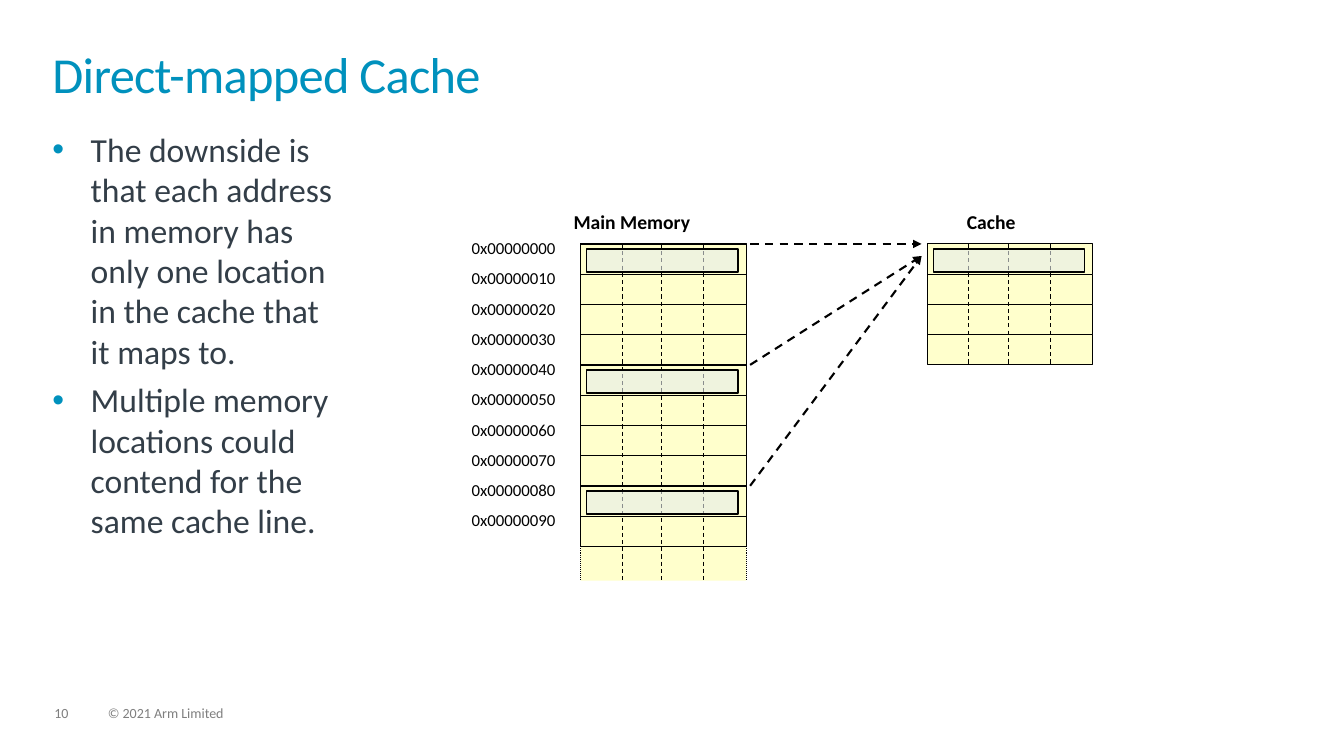
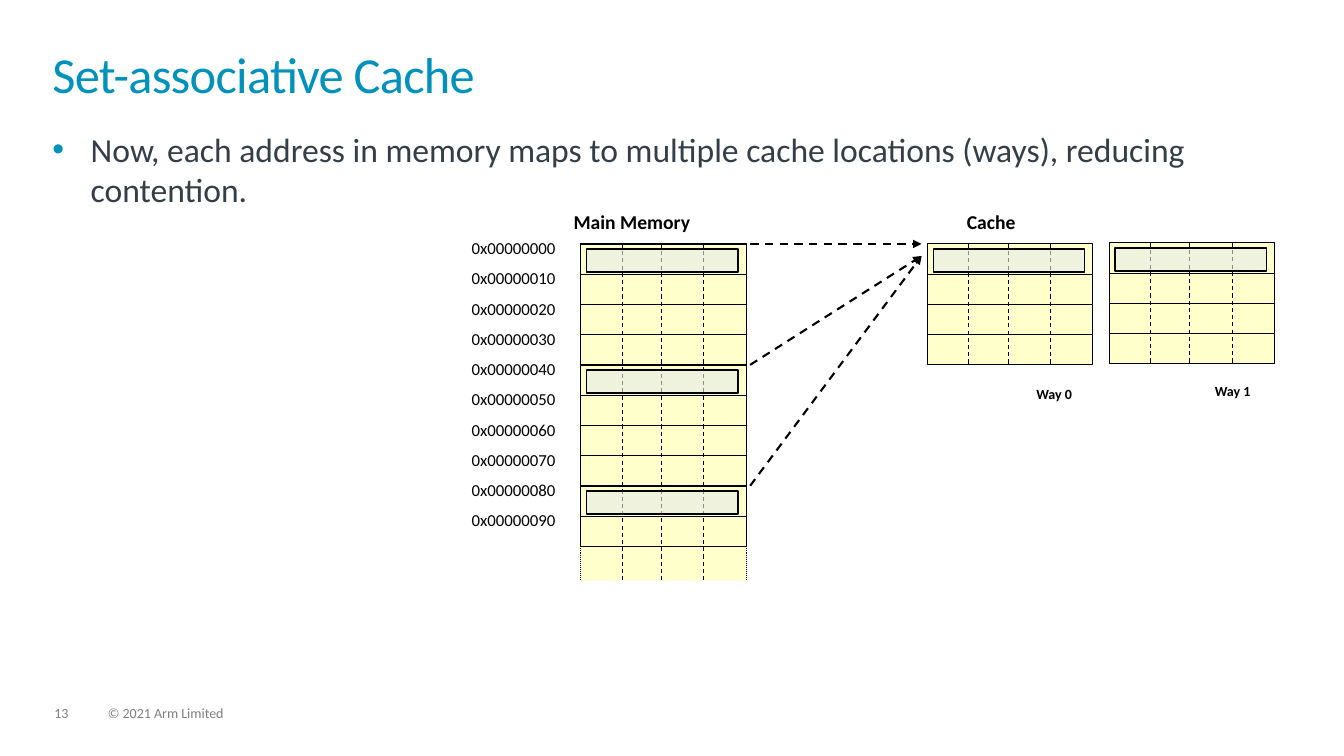
from pptx import Presentation
from pptx.dml.color import RGBColor
from pptx.enum.dml import MSO_LINE_DASH_STYLE as DASH
from pptx.enum.shapes import MSO_CONNECTOR, MSO_SHAPE
from pptx.enum.text import MSO_ANCHOR, MSO_AUTO_SIZE, PP_ALIGN
from pptx.oxml.ns import qn
from pptx.util import Inches, Pt
from lxml.etree import SubElement

# Shared style
BLUE = RGBColor(0x00, 0x91, 0xBD)
SLATE = RGBColor(0x33, 0x3E, 0x48)
GREY = RGBColor(0x7F, 0x7F, 0x7F)
BLACK = RGBColor(0x00, 0x00, 0x00)
CREAM = RGBColor(0xFF, 0xFF, 0xCC)
MIST = RGBColor(0xE5, 0xEC, 0xEB)
FONT = "Calibri"
COPYRIGHT = "© 2021 Arm Limited"

# Diagram measures, in inches
BLOCK_W, ROW_H = 1.64, 0.3
WORD_EDGES = (0.41, 0.8, 1.22)
MEMORY_ROWS, MEMORY_H = 10, 3.34
CACHE_ROWS = 4
MEMORY_AT = (5.76, 2.42)
CACHE_AT = (9.2, 2.42)
WAY_1_AT = (11.0, 2.41)
MAPPED_ROWS = range(0, MEMORY_ROWS, CACHE_ROWS)


def add_run(paragraph, text, size, color, bold=False):
    run = paragraph.add_run()
    run.text = text
    run.font.name = FONT
    run.font.size = Pt(size)
    run.font.color.rgb = color
    run.font.bold = bold
    return run


def place(shape, left, top, width, height):
    shape.left, shape.top = Inches(left), Inches(top)
    shape.width, shape.height = Inches(width), Inches(height)


def clear_frame(frame):
    frame.margin_left = frame.margin_right = 0
    frame.margin_top = frame.margin_bottom = 0
    frame.vertical_anchor = MSO_ANCHOR.TOP
    frame.auto_size = MSO_AUTO_SIZE.NONE
    frame.word_wrap = True


def add_label(slide, text, left, top, width, height, size, bold=False, wrap=True):
    frame = slide.shapes.add_textbox(
        Inches(left), Inches(top), Inches(width), Inches(height)).text_frame
    frame.word_wrap = wrap
    frame.vertical_anchor = MSO_ANCHOR.MIDDLE
    add_run(frame.paragraphs[0], text, size, BLACK, bold)


def add_rect(slide, left, top, width, height, fill, line_width=None, opacity=None):
    rect = slide.shapes.add_shape(
        MSO_SHAPE.RECTANGLE, Inches(left), Inches(top), Inches(width), Inches(height))
    rect.shadow.inherit = False
    rect.fill.solid()
    rect.fill.fore_color.rgb = fill
    if opacity:
        tint = rect._element.spPr.find(qn("a:solidFill")).find(qn("a:srgbClr"))
        SubElement(tint, qn("a:alpha")).set("val", str(opacity * 1000))
    if line_width:
        rect.line.color.rgb = BLACK
        rect.line.width = Pt(line_width)
    else:
        rect.line.fill.background()


def add_line(slide, x1, y1, x2, y2, width=0.75, dash=None, arrow=False):
    line = slide.shapes.add_connector(
        MSO_CONNECTOR.STRAIGHT, Inches(x1), Inches(y1), Inches(x2), Inches(y2))
    line.line.color.rgb = BLACK
    line.line.width = Pt(width)
    if dash:
        line.line.dash_style = dash
    if arrow:
        SubElement(line.line._get_or_add_ln(), qn("a:tailEnd")).set("type", "triangle")
    SubElement(line._element.spPr, qn("a:effectLst"))


# Title, bullets and footer
def add_title(slide, text):
    title = slide.shapes.title
    place(title, 0.52, 0.52, 12.28, 0.72)
    clear_frame(title.text_frame)
    paragraph = title.text_frame.paragraphs[0]
    paragraph.alignment = PP_ALIGN.LEFT
    paragraph.line_spacing = 0.85
    run = add_run(paragraph, text, 36, BLUE)
    run._r.get_or_add_rPr().set("spc", "-50")


def add_bullets(slide, items, width):
    body = slide.placeholders[1]
    place(body, 0.52, 1.28, width, 5.41)
    frame = body.text_frame
    clear_frame(frame)
    for index, item in enumerate(items):
        paragraph = frame.add_paragraph() if index else frame.paragraphs[0]
        props = paragraph._p.get_or_add_pPr()
        props.set("marL", str(Inches(0.38)))
        props.set("indent", str(-Inches(0.38)))
        color = SubElement(props, qn("a:buClr"))
        SubElement(color, qn("a:srgbClr")).set("val", str(BLUE))
        SubElement(props, qn("a:buFont")).set("typeface", "Arial")
        SubElement(props, qn("a:buChar")).set("char", "•")
        paragraph.space_before = Pt(6 if index else 0)
        add_run(paragraph, item, 24, SLATE)


def add_footer(slide, number):
    for text, left, width in ((str(number), 0.54, 0.34), (COPYRIGHT, 1.07, 5.07)):
        frame = slide.shapes.add_textbox(
            Inches(left), Inches(7.01), Inches(width), Inches(0.15)).text_frame
        clear_frame(frame)
        frame.paragraphs[0].line_spacing = 0.9
        add_run(frame.paragraphs[0], text, 10, GREY)


# Memory blocks
def add_rows(slide, left, top, count, height):
    """Stack of cache lines, each split into four words."""
    for row in range(count):
        add_rect(slide, left, top + row * ROW_H, BLOCK_W, ROW_H, CREAM, 0.75)
    for edge in WORD_EDGES:
        add_line(slide, left + edge, top, left + edge, top + height, dash=DASH.DASH)


def add_highlight(slide, left, top):
    add_rect(slide, left + 0.06, top + 0.05, 1.5, 0.23, MIST, 1, opacity=60)


def add_cache(slide, left, top):
    add_rows(slide, left, top, CACHE_ROWS, CACHE_ROWS * ROW_H)
    add_highlight(slide, left, top)


def add_memory(slide, left, top):
    right, bottom = left + BLOCK_W, top + MEMORY_H
    add_label(slide, "Main Memory", left - 0.17, top - 0.39, 1.36, 0.34, 14, True, False)
    add_rect(slide, left, top, BLOCK_W, MEMORY_H, CREAM)
    add_rows(slide, left, top, MEMORY_ROWS, MEMORY_H)
    for side in (left, right):
        add_line(slide, side, top + MEMORY_ROWS * ROW_H, side, bottom,
                 dash=DASH.ROUND_DOT)
    for row in MAPPED_ROWS:
        y = top + row * ROW_H
        add_line(slide, left, y, right, y, 1.5)
        add_highlight(slide, left, y)
    for row in range(MEMORY_ROWS):
        add_label(slide, f"0x{row * 16:08X}", left - 1.18, top - 0.11 + row * ROW_H,
                  1.5, 0.3, 12)


def add_mapping_arrows(slide, memory, cache):
    start = memory[0] + BLOCK_W + 0.04
    for row in MAPPED_ROWS:
        y = memory[1] + row * ROW_H
        target = cache[1] + (0.12 if row else 0)
        add_line(slide, start, y, cache[0] - 0.06, target, 1.5, DASH.DASH, arrow=True)


def add_mapping(slide):
    left, top = CACHE_AT
    add_memory(slide, *MEMORY_AT)
    add_label(slide, "Cache", left + 0.29, top - 0.39, 0.69, 0.34, 14, True, False)
    add_cache(slide, left, top)
    add_mapping_arrows(slide, MEMORY_AT, CACHE_AT)


def add_ways(slide):
    add_cache(slide, *WAY_1_AT)
    for text, left, top in (("Way 0", 10.18, 3.77), ("Way 1", 11.95, 3.74)):
        add_label(slide, text, left, top, 0.71, 0.27, 10, True)


def add_cache_slide(deck, title, bullets, body_width, number):
    slide = deck.slides.add_slide(deck.slide_layouts[1])
    add_title(slide, title)
    add_bullets(slide, bullets, body_width)
    add_mapping(slide)
    add_footer(slide, number)
    return slide


def main():
    deck = Presentation()
    deck.slide_width, deck.slide_height = Inches(13.33), Inches(7.5)
    add_cache_slide(deck, "Direct-mapped Cache", [
        "The downside is that each address in memory has only one location "
        "in the cache that it maps to.",
        "Multiple memory locations could contend for the same cache line.",
    ], 2.85, 10)
    set_associative = add_cache_slide(deck, "Set-associative Cache", [
        "Now, each address in memory maps to multiple cache locations (ways), "
        "reducing contention.",
    ], 12.28, 13)
    add_ways(set_associative)
    deck.save("out.pptx")


if __name__ == "__main__":
    main()
